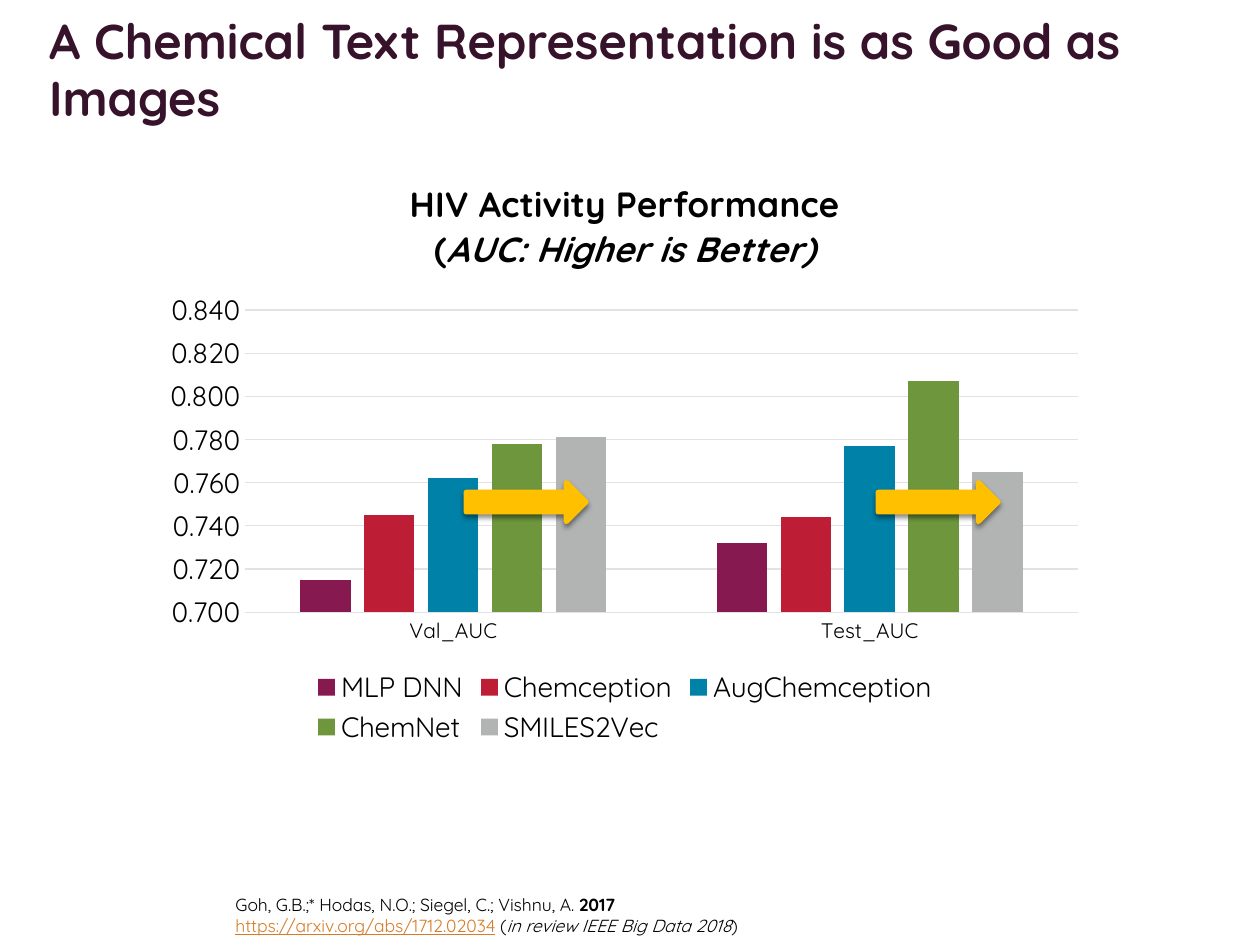
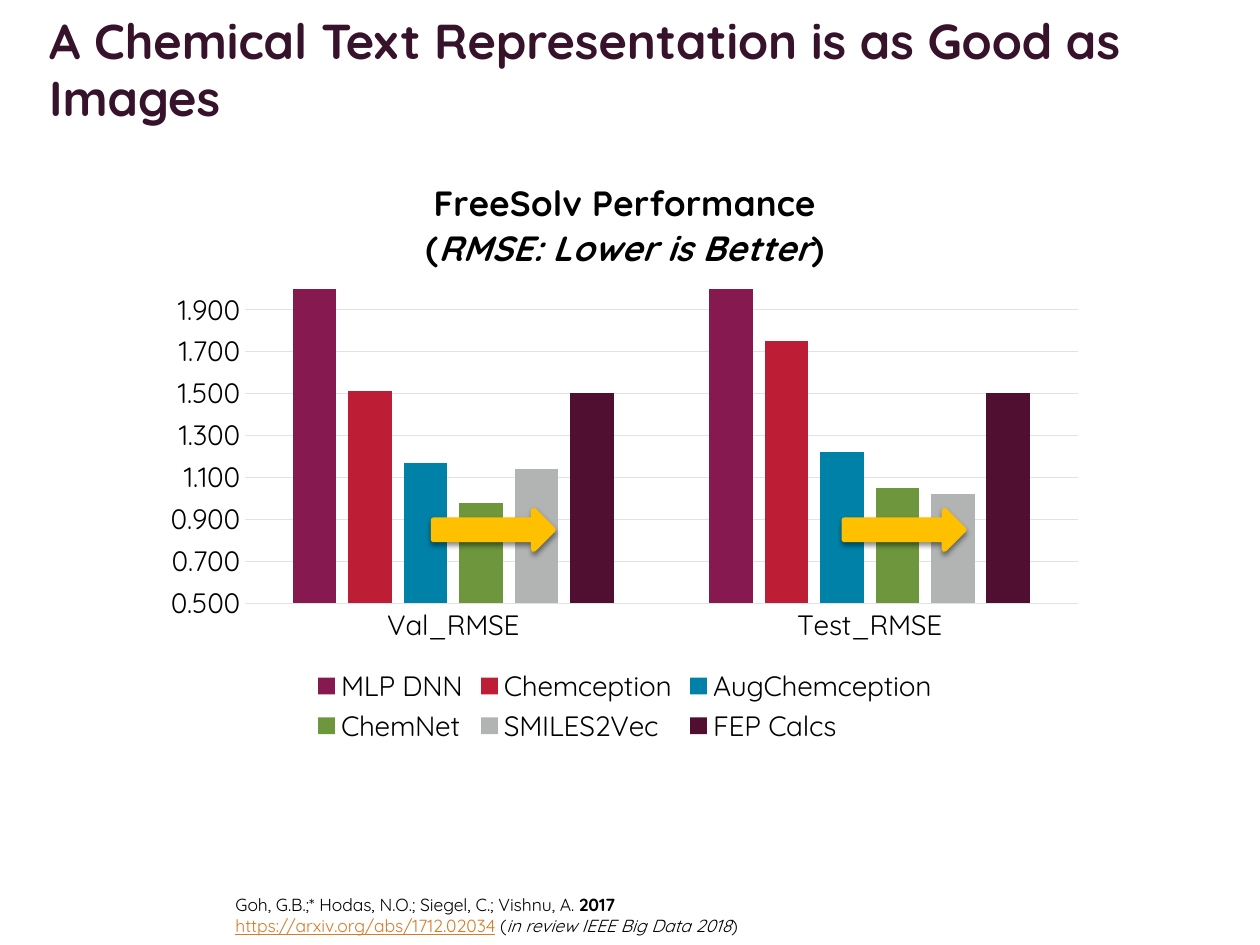
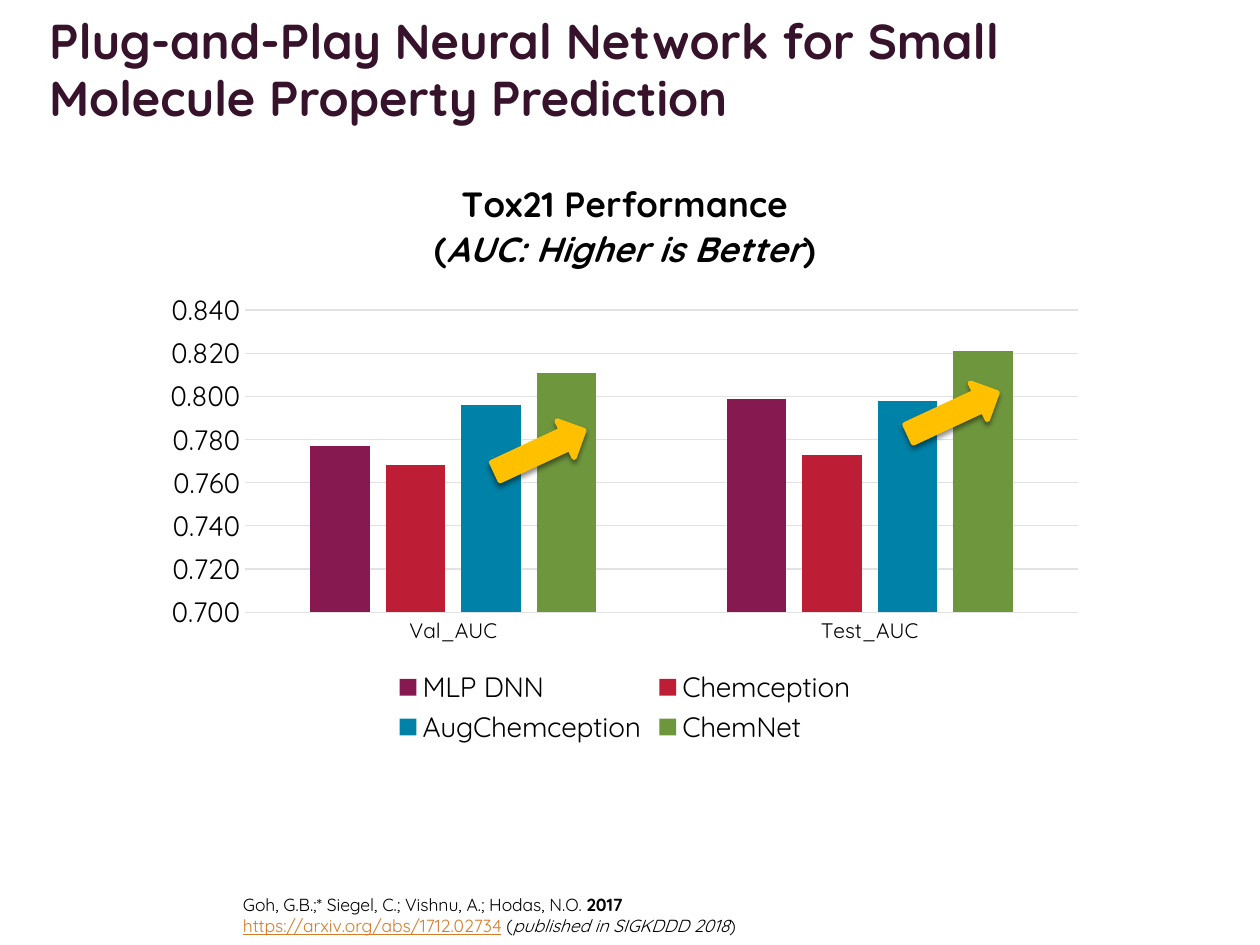
from lxml import etree
from pptx import Presentation, util as u
from pptx.chart.data import CategoryChartData
from pptx.dml.color import RGBColor
from pptx.enum import chart as ch, shapes, text
from pptx.oxml import parse_xml
from pptx.oxml.ns import nsdecls, qn

FONT = "Quicksand"
COLORS = {"title": "37122B", "text": "000000", "link": "D77B27",
          "grid": "E2E2E4", "arrow": "FFC000"}
SERIES_COLORS = {"MLP DNN": "851950", "Chemception": "BE1E35",
                 "AugChemception": "0081A7", "ChemNet": "6E963D",
                 "SMILES2Vec": "B1B4B2", "FEP Calcs": "500F30"}
COLS, ROWS = 100, 75
CHART_LEFT, CHART_W, CHART_H = 12.1, 75, 47
PLOT_LEFT, PLOT_TOP, PLOT_W = 19.45, 22.9, 66.1


def rgb(value):
    return RGBColor.from_string(value)


def set_format(font, size, color="text", **values):
    font.color.rgb = rgb(COLORS[color])
    for name, value in {"name": FONT, "size": u.Pt(size), **values}.items():
        setattr(font, name, value)


class Deck:
    """Holds the presentation, its grid and the current slide."""

    def __init__(self):
        self.prs = Presentation()
        self.prs.slide_width, self.prs.slide_height = u.Inches(10), u.Inches(7.5)
        self.s = None

    def box(self, left, top, width, height):
        """Turns grid columns and rows into lengths."""
        col, row = self.prs.slide_width / COLS, self.prs.slide_height / ROWS
        return [round(v) for v in (left * col, top * row, width * col, height * row)]

    def add_slide(self, title):
        self.s = self.prs.slides.add_slide(self.prs.slide_layouts[5])
        sp = self.s.shapes.title
        sp.left, sp.top, sp.width, sp.height = self.box(2.9, 1.8, 93.4, 7.7)
        tf = sp.text_frame
        tf.text = title
        tf.auto_size = text.MSO_AUTO_SIZE.NONE
        tf.vertical_anchor = text.MSO_ANCHOR.MIDDLE
        p = tf.paragraphs[0]
        p.alignment = text.PP_ALIGN.LEFT
        p.line_spacing = 0.97
        set_format(p.runs[0].font, 28, "title", bold=True)

    def runs(self, p, size, *parts):
        for words, values in parts:
            r = p.add_run()
            r.text = words
            set_format(r.font, size, **values)

    def citation(self, left, width, authors, link, status):
        sp = self.s.shapes.add_textbox(*self.box(left, 70.5, width, 4.4))
        tf = sp.text_frame
        tf.word_wrap = False
        tf.auto_size = text.MSO_AUTO_SIZE.SHAPE_TO_FIT_TEXT
        self.runs(tf.paragraphs[0], 10, (authors + " ", {}), ("2017", {"bold": True}))
        self.runs(tf.add_paragraph(), 10,
                  (link, {"color": "link", "underline": True}),
                  (" (", {}), (status, {"italic": True}), (")", {}))

    def chart(self, heading, measure, cats, series, top=12.5, plot_h=25.7,
              low=0.7, high=0.85, step=0.02, cat_size=12, italic_close=False):
        data = CategoryChartData(number_format="0.000")
        data.categories = cats
        for name, values in series.items():
            data.add_series(name, values)
        c = self.s.shapes.add_chart(
            ch.XL_CHART_TYPE.COLUMN_CLUSTERED,
            *self.box(CHART_LEFT, top, CHART_W, CHART_H), data).chart
        set_format(c.font, cat_size)

        tf = c.chart_title.text_frame
        c.chart_title.include_in_layout = False
        self.runs(tf.paragraphs[0], 20, (heading, {"bold": True}))
        self.runs(tf.add_paragraph(), 20, ("(", {"bold": True}),
                  (measure, {"bold": True, "italic": True}),
                  (")", {"bold": True, "italic": italic_close}))

        c.has_legend = True
        c.legend.position = ch.XL_LEGEND_POSITION.BOTTOM
        c.legend.include_in_layout = False
        set_format(c.legend.font, 16)

        plot = c.plots[0]
        plot.gap_width, plot.overlap, plot.vary_by_categories = 219, -27, False
        for ser in plot.series:
            ser.format.fill.solid()
            ser.format.fill.fore_color.rgb = rgb(SERIES_COLORS[ser.name])
            ser.invert_if_negative = False

        value, cat = c.value_axis, c.category_axis
        for axis, size in ((value, 16), (cat, cat_size)):
            axis.major_tick_mark = axis.minor_tick_mark = ch.XL_TICK_MARK.NONE
            set_format(axis.tick_labels.font, size)
        value.minimum_scale, value.maximum_scale, value.major_unit = low, high, step
        value.tick_labels.number_format = "0.000"
        value.tick_labels.number_format_is_linked = False
        value.format.line.fill.background()
        for line in (value.major_gridlines.format.line, cat.format.line):
            line.color.rgb = rgb(COLORS["grid"])
            line.width = u.Pt(0.75)
        self.place_plot(c, top, plot_h)

    def place_plot(self, c, top, plot_h):
        """Fixes the inner plot area, as shares of the chart."""
        area = c.plots[0]._element.getparent()
        for old in area.findall(qn("c:layout")):
            area.remove(old)
        layout = etree.Element(qn("c:layout"))
        manual = etree.SubElement(layout, qn("c:manualLayout"))
        shares = {"layoutTarget": "inner", "xMode": "edge", "yMode": "edge",
                  "x": (PLOT_LEFT - CHART_LEFT) / CHART_W,
                  "y": (PLOT_TOP - top) / CHART_H,
                  "w": PLOT_W / CHART_W, "h": plot_h / CHART_H}
        for tag, value in shares.items():
            etree.SubElement(manual, qn("c:" + tag)).set("val", str(value))
        area.insert(0, layout)

    def arrow(self, left, top, width=9.5, height=3.1, rotation=0):
        sp = self.s.shapes.add_shape(shapes.MSO_SHAPE.RIGHT_ARROW,
                                     *self.box(left, top, width, height))
        sp.rotation = rotation
        sp.fill.solid()
        sp.fill.fore_color.rgb = sp.line.color.rgb = rgb(COLORS["arrow"])
        sp.line.width = u.Pt(3)
        sp._element.spPr.append(parse_xml(
            f'<a:effectLst {nsdecls("a")}><a:outerShdw blurRad="{u.Pt(3)}" '
            f'dist="{u.Pt(2)}" dir="5400000" rotWithShape="0"><a:srgbClr '
            f'val="{COLORS["text"]}"><a:alpha val="45000"/></a:srgbClr>'
            '</a:outerShdw></a:effectLst>'))


def main():
    deck = Deck()
    auc_cats = ["Val_AUC", "Test_AUC"]
    text_title = "A Chemical Text Representation is as Good as Images"
    text_source = (17.7, 43.8, "Goh, G.B.;* Hodas, N.O.; Siegel, C.; Vishnu, A.",
                   "https://arxiv.org/abs/1712.02034", "in review IEEE Big Data 2018")

    deck.add_slide(text_title)
    deck.citation(*text_source)
    deck.chart("HIV Activity Performance", "AUC: Higher is Better", auc_cats, {
        "MLP DNN": (0.715, 0.732), "Chemception": (0.745, 0.744),
        "AugChemception": (0.762, 0.777), "ChemNet": (0.778, 0.807),
        "SMILES2Vec": (0.781, 0.765)}, italic_close=True)
    for left in (37, 69.7):
        deck.arrow(left, 38.3)

    deck.add_slide(text_title)
    deck.citation(*text_source)
    deck.chart("FreeSolv Performance", "RMSE: Lower is Better",
               ["Val_RMSE", "Test_RMSE"], {
                   "MLP DNN": (2, 2), "Chemception": (1.51, 1.75),
                   "AugChemception": (1.17, 1.22), "ChemNet": (0.98, 1.05),
                   "SMILES2Vec": (1.14, 1.02), "FEP Calcs": (1.5, 1.5)},
               top=12.4, plot_h=25, low=0.5, high=2, step=0.2, cat_size=16)
    for left in (34.4, 67):
        deck.arrow(left, 40.5)

    deck.add_slide("Plug-and-Play Neural Network for Small Molecule Property Prediction")
    deck.citation(18.3, 43.4, "Goh, G.B.;* Siegel, C.; Vishnu, A.; Hodas, N.O.",
                  "https://arxiv.org/abs/1712.02734", "published in SIGKDDD 2018")
    deck.chart("Tox21 Performance", "AUC: Higher is Better", auc_cats, {
        "MLP DNN": (0.777, 0.799), "Chemception": (0.768, 0.773),
        "AugChemception": (0.796, 0.798), "ChemNet": (0.811, 0.821)})
    for left, top in ((71.8, 31.2), (39, 34.2)):
        deck.arrow(left, top, 7.7, 3.2, rotation=335)

    deck.prs.save("out.pptx")


if __name__ == "__main__":
    main()
